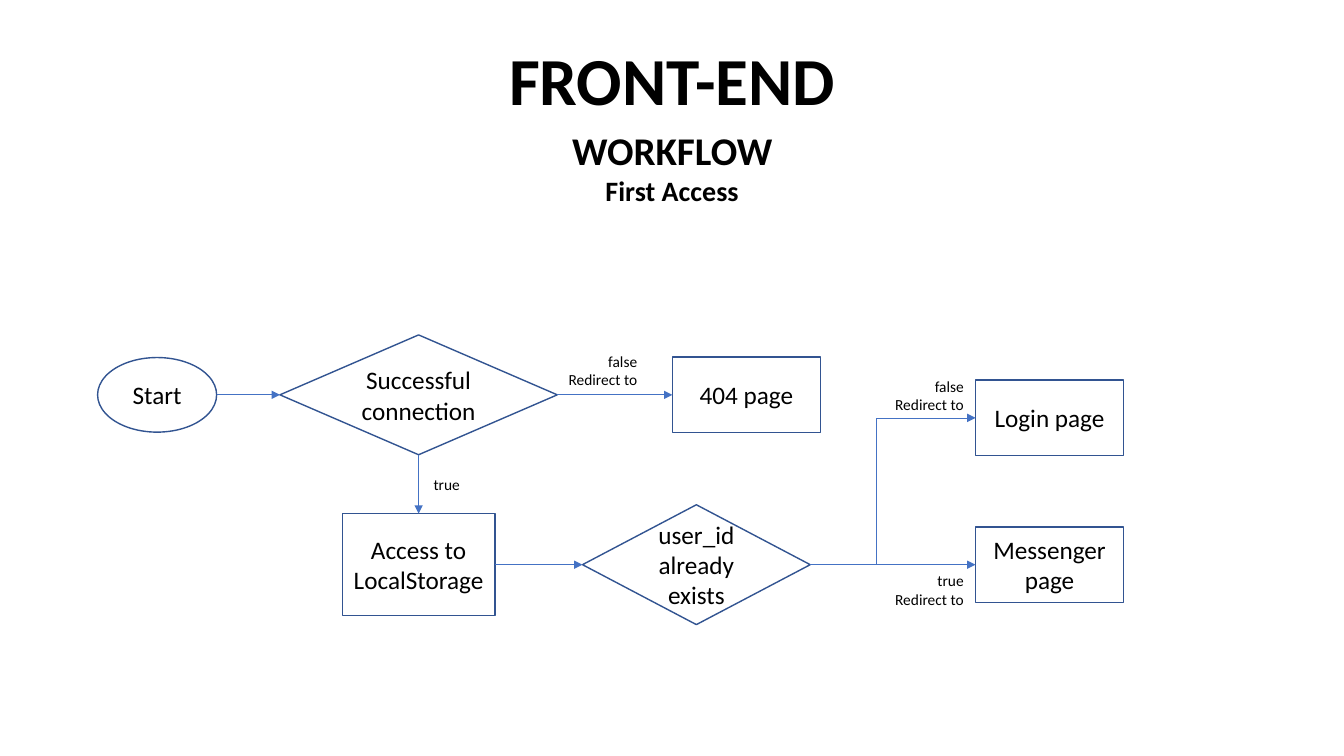
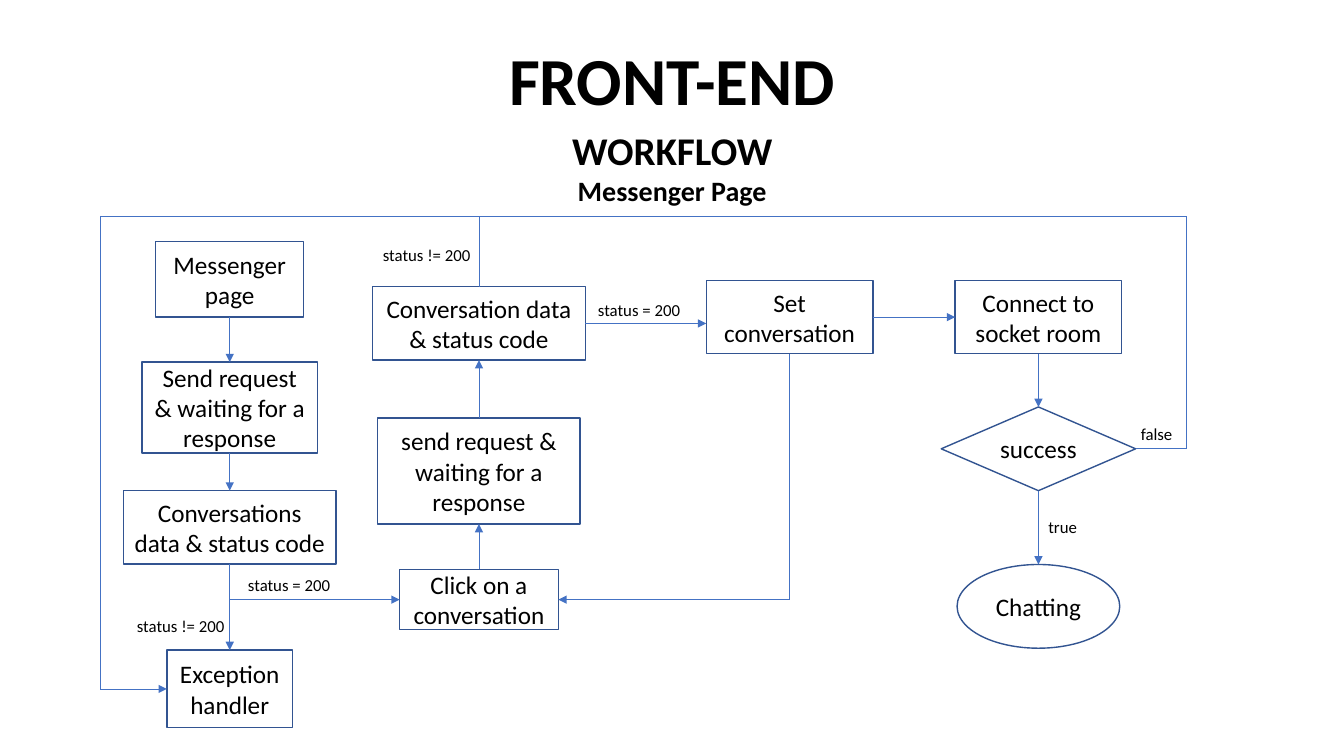
from dataclasses import dataclass
from itertools import pairwise

from pptx import Presentation
from pptx.dml.color import RGBColor
from pptx.enum.shapes import MSO_CONNECTOR, MSO_SHAPE
from pptx.enum.text import MSO_ANCHOR, PP_ALIGN
from pptx.oxml.ns import qn
from pptx.slide import Slide
from pptx.text.text import TextFrame
from pptx.util import Cm, Pt
from lxml.etree import SubElement

BLACK = RGBColor(0x00, 0x00, 0x00)
OUTLINE = RGBColor(0x32, 0x54, 0x91)
ARROW = RGBColor(0x44, 0x72, 0xC4)
FONT = "Calibri"
TITLE_ONLY = 5

Point = tuple[float, float]


@dataclass(frozen=True)
class Node:
    """A flowchart box placed by its centre; all lengths are in centimetres."""

    text: str
    x: float
    y: float
    width: float
    height: float
    kind: MSO_SHAPE = MSO_SHAPE.RECTANGLE

    @property
    def left(self) -> Point:
        return self.x - self.width / 2, self.y

    @property
    def right(self) -> Point:
        return self.x + self.width / 2, self.y

    @property
    def top(self) -> Point:
        return self.x, self.y - self.height / 2

    @property
    def bottom(self) -> Point:
        return self.x, self.y + self.height / 2


@dataclass(frozen=True)
class Route:
    """Straight segments through the points, with an optional final arrowhead."""

    points: list[Point]
    arrow: bool = True


@dataclass(frozen=True)
class Label:
    text: str
    left: float
    top: float
    width: float = 2.85
    height: float = 0.77
    size: int = 12
    align: PP_ALIGN = PP_ALIGN.LEFT


@dataclass(frozen=True)
class Workflow:
    name: str
    nodes: list[Node]
    routes: list[Route]
    labels: list[Label]


def write(frame: TextFrame, text: str, sizes: list[int], align: PP_ALIGN,
          bold: bool = False) -> None:
    """Fill the frame, giving one font size to each line of text."""
    frame.text = text
    frame.word_wrap = True
    for paragraph, size in zip(frame.paragraphs, sizes):
        paragraph.alignment = align
        font = paragraph.font
        font.name, font.size, font.bold = FONT, Pt(size), bold
        font.color.rgb = BLACK


def add_headings(slide: Slide, name: str) -> None:
    title = slide.shapes.title
    title.left, title.top, title.width, title.height = Cm(1.32), Cm(0.84), Cm(31.24), Cm(2.31)
    write(title.text_frame, "FRONT-END", [48], PP_ALIGN.CENTER, bold=True)
    title.text_frame.vertical_anchor = MSO_ANCHOR.TOP
    subtitle = slide.shapes.add_textbox(Cm(7.87), Cm(3.05), Cm(18.14), Cm(2.31))
    write(subtitle.text_frame, f"WORKFLOW\n{name}", [28, 20], PP_ALIGN.CENTER, bold=True)


def add_node(slide: Slide, node: Node) -> None:
    shape = slide.shapes.add_shape(node.kind, Cm(node.left[0]), Cm(node.top[1]),
                                   Cm(node.width), Cm(node.height))
    shape.shadow.inherit = False
    shape.fill.background()
    shape.line.color.rgb = OUTLINE
    shape.line.width = Pt(1)
    write(shape.text_frame, node.text, [18], PP_ALIGN.CENTER)
    shape.text_frame.vertical_anchor = MSO_ANCHOR.MIDDLE


def add_route(slide: Slide, route: Route) -> None:
    for start, end in pairwise(route.points):
        connector = slide.shapes.add_connector(
            MSO_CONNECTOR.STRAIGHT, *(Cm(value) for value in start + end))
        connector.line.color.rgb = ARROW
        connector.line.width = Pt(0.5)
        if route.arrow and end == route.points[-1]:
            SubElement(connector.line._get_or_add_ln(), qn("a:tailEnd"), type="triangle")
        SubElement(connector._element.spPr, qn("a:effectLst"))


def add_label(slide: Slide, label: Label) -> None:
    box = slide.shapes.add_textbox(Cm(label.left), Cm(label.top),
                                   Cm(label.width), Cm(label.height))
    lines = label.text.count("\n") + 1
    write(box.text_frame, label.text, [label.size] * lines, label.align)


def redirect_label(condition: str, left: float, top: float) -> Label:
    return Label(f"{condition}\nRedirect to", left, top, 2.44, 1.19, 11, PP_ALIGN.RIGHT)


def first_access() -> Workflow:
    upper, lower, branch_x = 9.95, 14.23, 22.08
    page = (3.73, 1.9)
    start = Node("Start", 3.96, upper, 3, 1.88, MSO_SHAPE.OVAL)
    connection = Node("Successful connection", 10.55, upper, 6.99, 3.02, MSO_SHAPE.DIAMOND)
    not_found = Node("404 page", 18.81, upper, *page)
    storage = Node("Access to LocalStorage", 10.55, lower, 3.85, 2.57)
    user_id = Node("user_id already exists", 17.55, lower, 5.74, 3.02, MSO_SHAPE.DIAMOND)
    messenger = Node("Messenger page", 26.45, lower, *page)
    login = Node("Login page", 26.45, 10.53, *page)
    return Workflow(
        "First Access",
        [start, connection, not_found, storage, user_id, messenger, login],
        [
            Route([start.right, connection.left]),
            Route([connection.right, not_found.left]),
            Route([connection.bottom, storage.top]),
            Route([storage.right, user_id.left]),
            Route([user_id.right, messenger.left]),
            Route([(branch_x, lower), (branch_x, login.y), login.left]),
        ],
        [
            redirect_label("false", 13.87, 8.74),
            redirect_label("false", 22.1, 9.37),
            redirect_label("true", 22.1, 14.27),
            Label("true", 10.34, 11.84, 1.5, 0.74, 11, PP_ALIGN.RIGHT),
        ],
    )


def messenger_page() -> Workflow:
    load_x, request_x, set_x, socket_x = 5.79, 12.07, 19.9, 26.17
    loop_left, loop_right, loop_top = 2.53, 29.9, 5.44
    status, step = (5.36, 1.85), (4.2, 1.85)
    page = Node("Messenger page", load_x, 7.04, 3.73, 1.9)
    page_request = Node("Send request & waiting for a response", load_x, 10.27, 4.43, 2.29)
    page_status = Node("Conversations data & status code", load_x, 13.29, *status)
    handler = Node("Exception handler", load_x, 17.36, 3.17, 1.96)
    click = Node("Click on a conversation", request_x, 15.11, 4, 1.52)
    chat_request = Node("send request & waiting for a response", request_x, 11.87, 5.1, 2.67)
    chat_status = Node("Conversation data & status code", request_x, 8.15, *status)
    set_chat = Node("Set conversation", set_x, 7.99, *step)
    connect = Node("Connect to socket room", socket_x, 7.99, *step)
    success = Node("success", socket_x, 11.31, 4.9, 2.11, MSO_SHAPE.DIAMOND)
    chatting = Node("Chatting", socket_x, 15.28, 4.1, 2.11, MSO_SHAPE.OVAL)
    return Workflow(
        "Messenger Page",
        [page, page_request, page_status, handler, click, chat_request, chat_status,
         set_chat, connect, success, chatting],
        [
            Route([page.bottom, page_request.top]),
            Route([page_request.bottom, page_status.top]),
            Route([page_status.bottom, handler.top]),
            Route([(load_x, click.y), click.left]),
            Route([click.top, chat_request.bottom]),
            Route([chat_request.top, chat_status.bottom]),
            Route([chat_status.right, (set_chat.left[0], chat_status.y)]),
            Route([chat_status.top, (request_x, loop_top)], arrow=False),
            Route([set_chat.right, connect.left]),
            Route([set_chat.bottom, (set_x, click.y), click.right]),
            Route([connect.bottom, success.top]),
            Route([success.bottom, chatting.top]),
            Route([success.right, (loop_right, success.y), (loop_right, loop_top),
                   (loop_left, loop_top), (loop_left, handler.y), handler.left]),
        ],
        [
            Label("status = 200", 6, 14.36),
            Label("status != 200", 3.2, 15.38),
            Label("status != 200", 9.4, 6.05),
            Label("status = 200", 14.82, 7.44),
            Label("false", 28.5, 10.56),
            Label("true", 26.17, 12.9),
        ],
    )


def add_workflow(presentation: Presentation, workflow: Workflow) -> None:
    slide = presentation.slides.add_slide(presentation.slide_layouts[TITLE_ONLY])
    add_headings(slide, workflow.name)
    for node in workflow.nodes:
        add_node(slide, node)
    for route in workflow.routes:
        add_route(slide, route)
    for label in workflow.labels:
        add_label(slide, label)


def main() -> None:
    presentation = Presentation()
    presentation.slide_width, presentation.slide_height = Cm(33.87), Cm(19.05)
    for workflow in (first_access(), messenger_page()):
        add_workflow(presentation, workflow)
    presentation.save("out.pptx")


if __name__ == "__main__":
    main()
